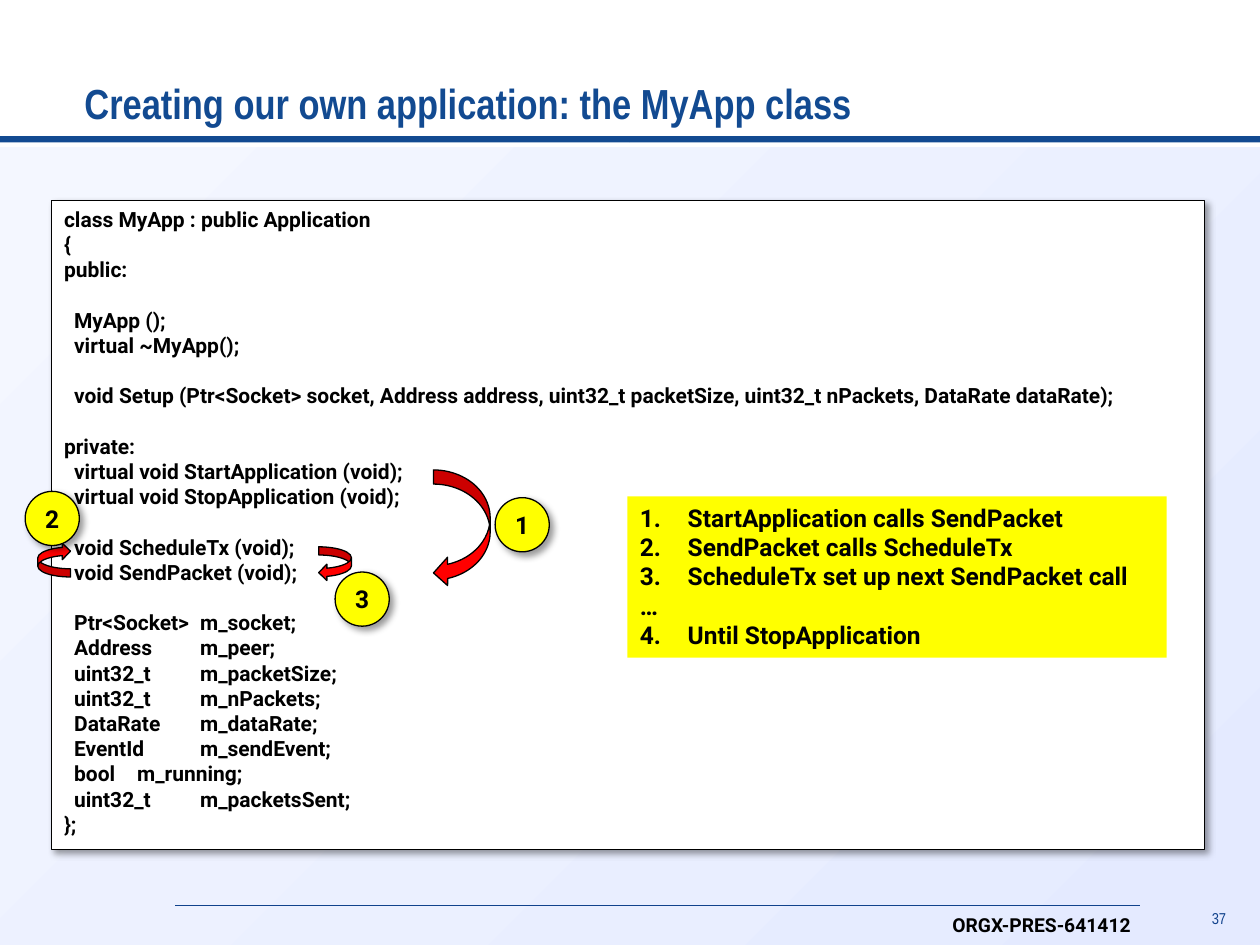
import pptx
import pptx.util
import pptx.dml.color
import pptx.enum.shapes
import pptx.enum.text
import lxml.etree

Inches, Pt = pptx.util.Inches, pptx.util.Pt
SHAPE = pptx.enum.shapes.MSO_SHAPE
ALIGN = pptx.enum.text.PP_ALIGN
ANCHOR = pptx.enum.text.MSO_ANCHOR
DRAWING = "http://schemas.openxmlformats.org/drawingml/2006/main"

WIDTH, HEIGHT = 10, 7.5
THEME = dict(
    heading_font="Arial Narrow", body_font="Roboto",
    blue="124A91", rule="10428C", black="000000", white="FFFFFF",
    red="FF0000", yellow="FFFF00", light="F4F7FF", dark="E4EAFF",
    title=24, note=14, code=12, footer=11, page=9, outline=0.75,
)

TITLE = "Creating our own application: the MyApp class"
FOOTER = "ORGX-PRES-641412"
PAGE = "37"

# Blocks of code are set apart by one line; each entry is (indent level, text).
CODE = [
    [(0, "class MyApp : public Application"), (0, "{"), (0, "public:")],
    [(1, "MyApp ();"), (1, "virtual ~MyApp();")],
    [(1, "void Setup (Ptr<Socket> socket, Address address, uint32_t packetSize, "
         "uint32_t nPackets, DataRate dataRate);")],
    [(0, "private:"), (1, "virtual void StartApplication (void);"),
     (1, "virtual void StopApplication (void);")],
    [(1, "void ScheduleTx (void);"), (1, "void SendPacket (void);")],
]
# Type, member name, and where the name starts in inches from the code's left edge.
MEMBERS = [
    ("Ptr<Socket>", "m_socket;", 1.2), ("Address", "m_peer;", 1.07),
    ("uint32_t", "m_packetSize;", 1.02), ("uint32_t", "m_nPackets;", 1.02),
    ("DataRate", "m_dataRate;", 1.1), ("EventId", "m_sendEvent;", 1.01),
    ("bool", "m_running;", 0.9), ("uint32_t", "m_packetsSent;", 1.02),
]
CODE_INDENT = 0.08
CODE_LINE = THEME["code"] * 1.2

# Steps with no number are plain lines.
STEPS = [
    (1, "StartApplication calls SendPacket"),
    (2, "SendPacket calls ScheduleTx"),
    (3, "ScheduleTx set up next SendPacket call"),
    (None, "…"),
    (4, "Until StopApplication"),
]
STEP_INDENT = 0.38

ARROWS = [
    (SHAPE.CURVED_LEFT_ARROW, (3.44, 3.73, 0.45, 0.93), None),
    (SHAPE.CURVED_RIGHT_ARROW, (0.3, 4.31, 0.26, 0.27), "flipV"),
    (SHAPE.CURVED_RIGHT_ARROW, (2.53, 4.34, 0.26, 0.27), "flipH"),
]
BADGE = 0.43
BADGES = [("1", 3.93, 3.95), ("2", 0.2, 3.9), ("3", 2.66, 4.54)]


def color(name):
    return pptx.dml.color.RGBColor.from_string(THEME[name])


def child(parent, tag, **attributes):
    """Append a DrawingML element to parent."""
    element = lxml.etree.SubElement(parent, f"{{{DRAWING}}}{tag}")
    for name, value in attributes.items():
        element.set(name, str(value))
    return element


def add_shape(slide, kind, box, fill, outlined=False, shadowed=False):
    shape = slide.shapes.add_shape(kind, *map(Inches, box))
    shape.shadow.inherit = False
    shape.fill.solid()
    shape.fill.fore_color.rgb = color(fill)
    if outlined:
        shape.line.color.rgb = color("black")
        shape.line.width = Pt(THEME["outline"])
    else:
        shape.line.fill.background()
    if shadowed:
        effects = shape._element.spPr.find(f"{{{DRAWING}}}effectLst")
        shadow = child(effects, "outerShdw", blurRad=Pt(4), dist=Pt(3),
                       dir=45 * 60000, algn="tl", rotWithShape=0)
        child(child(shadow, "srgbClr", val=THEME["black"]), "alpha", val=40000)
    return shape


def prepare_frame(shape, anchor=ANCHOR.TOP, wrap=False, left=0.1):
    frame = shape.text_frame
    frame.word_wrap = wrap
    frame.vertical_anchor = anchor
    frame.margin_left = Inches(left)
    return frame


def add_line(frame, text, size, ink="black", font="body_font", bold=True, align=ALIGN.LEFT):
    """Write text into the frame's empty first paragraph, or into a new one."""
    paragraph = frame.paragraphs[0]
    if paragraph.runs:
        paragraph = frame.add_paragraph()
    paragraph.alignment = align
    run = paragraph.add_run()
    run.text = text
    run.font.size = Pt(THEME[size])
    run.font.name = THEME[font]
    run.font.bold = bold
    run.font.color.rgb = color(ink)
    return paragraph


def add_backdrop(slide):
    panel = add_shape(slide, SHAPE.RECTANGLE, (0, 1.17, WIDTH, HEIGHT - 1.17), "light")
    panel.fill.gradient()
    panel.fill.gradient_angle = 315
    for stop, name, position in zip(panel.fill.gradient_stops, ("light", "dark"), (0, 1)):
        stop.color.rgb = color(name)
        stop.position = position
    for half in range(2):
        add_shape(slide, SHAPE.RECTANGLE, (half * WIDTH / 2, 1.08, WIDTH / 2, 0.05), "blue")

    rule = slide.shapes.add_connector(pptx.enum.shapes.MSO_CONNECTOR.STRAIGHT,
                                      *map(Inches, (1.39, 7.19, 9.05, 7.19)))
    rule.line.color.rgb = color("rule")
    rule.line.width = Pt(0.5)
    child(rule._element.spPr, "effectLst")


def add_labels(slide):
    def text_box(*box):
        return slide.shapes.add_textbox(*map(Inches, box))

    page = prepare_frame(text_box(9.49, 7.2, 0.34, 0.22), wrap=True, left=0)
    add_line(page, PAGE, "page", "rule", "heading_font", False, ALIGN.RIGHT).line_spacing = 0.75
    add_line(prepare_frame(text_box(7.46, 7.2, 1.63, 0.29)), FOOTER, "footer")
    title = prepare_frame(text_box(0.67, 0.17, 8.69, 0.89), ANCHOR.BOTTOM, True, 0)
    add_line(title, TITLE, "title", "blue", "heading_font")


def add_code(slide):
    panel = add_shape(slide, SHAPE.RECTANGLE, (0.41, 1.59, 9.15, 5.15), "white", True, True)
    frame = prepare_frame(panel)

    def code_line(text, level, starts_block):
        paragraph = add_line(frame, text, "code")
        properties = paragraph._p.get_or_add_pPr()
        properties.set("marL", str(Inches(level * CODE_INDENT)))
        properties.set("indent", "0")
        if starts_block:
            paragraph.space_before = Pt(CODE_LINE)
        return properties

    for number, block in enumerate(CODE):
        for row, (level, text) in enumerate(block):
            code_line(text, level, number > 0 and row == 0)
    for row, (kind, name, stop) in enumerate(MEMBERS):
        properties = code_line(f"{kind}\t{name}", 1, row == 0)
        child(child(properties, "tabLst"), "tab", pos=Inches(stop), algn="l")
    code_line("};", 0, False)


def add_call_marks(slide):
    for kind, box, flip in ARROWS:
        arrow = add_shape(slide, kind, box, "red", outlined=True)
        if flip:
            arrow._element.spPr.xfrm.set(flip, "1")
    for label, left, top in BADGES:
        badge = add_shape(slide, SHAPE.OVAL, (left, top, BADGE, BADGE), "yellow", True, True)
        add_line(prepare_frame(badge, ANCHOR.MIDDLE), label, "note", align=ALIGN.CENTER)


def add_steps(slide):
    frame = prepare_frame(add_shape(slide, SHAPE.RECTANGLE, (4.98, 3.94, 4.28, 1.28), "yellow"))
    for number, text in STEPS:
        properties = add_line(frame, text, "note")._p.get_or_add_pPr()
        if number:
            properties.set("marL", str(Inches(STEP_INDENT)))
            properties.set("indent", str(-Inches(STEP_INDENT)))
            child(properties, "buFont", typeface=THEME["body_font"])
            child(properties, "buAutoNum", type="arabicPeriod", startAt=number)


def main():
    presentation = pptx.Presentation()
    presentation.slide_width, presentation.slide_height = Inches(WIDTH), Inches(HEIGHT)
    slide = presentation.slides.add_slide(presentation.slide_layouts[6])
    for add_part in (add_backdrop, add_labels, add_code, add_call_marks, add_steps):
        add_part(slide)
    presentation.save("out.pptx")


if __name__ == "__main__":
    main()
